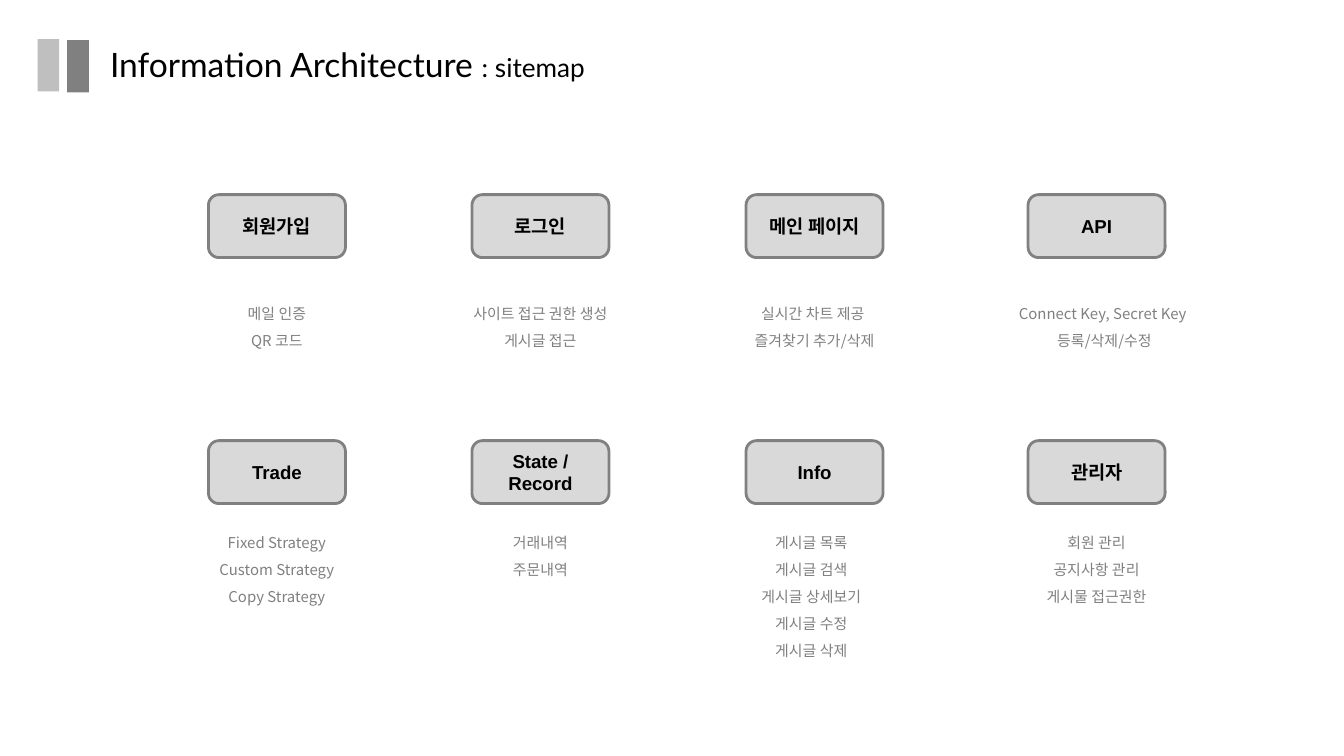
from dataclasses import dataclass

from lxml import etree
from pptx import Presentation
from pptx.dml.color import RGBColor
from pptx.enum import shapes, text
from pptx.oxml import ns
from pptx.util import Cm, Pt


@dataclass(frozen=True)
class Theme:
    black: RGBColor = RGBColor(0x00, 0x00, 0x00)
    grey: RGBColor = RGBColor(0x80, 0x80, 0x80)
    silver: RGBColor = RGBColor(0xBF, 0xBF, 0xBF)
    panel: RGBColor = RGBColor(0xD9, 0xD9, 0xD9)
    title_font: str = "Lato"
    page_font: str = "Arial"
    detail_font: str = "Noto Sans CJK KR"
    title_size: Pt = Pt(18)
    subtitle_size: Pt = Pt(14)
    page_size: Pt = Pt(10)
    detail_size: Pt = Pt(8)


theme = Theme()
presentation = Presentation()
presentation.slide_width, presentation.slide_height = Cm(25.4), Cm(14.29)
slide = presentation.slides.add_slide(presentation.slide_layouts[6])


def add_filled_shape(kind, left, top, width, height, color):
    shape = slide.shapes.add_shape(kind, Cm(left), Cm(top), Cm(width), Cm(height))
    shape.shadow.inherit = False
    shape.fill.solid()
    shape.fill.fore_color.rgb = color
    shape.line.fill.background()
    return shape


def style_paragraph(paragraph, font_name, size, color):
    """Set the font for Latin and Korean letters, with size and colour."""
    font = paragraph.font
    font.name, font.size = font_name, size
    font.color.rgb = color
    properties = paragraph._p.pPr.find(ns.qn("a:defRPr"))
    etree.SubElement(properties, ns.qn("a:ea"), typeface=font_name)


# Title with its two bars
for left, top, color in [(0.71, 0.74, theme.silver), (1.27, 0.76, theme.grey)]:
    add_filled_shape(shapes.MSO_SHAPE.RECTANGLE, left, top, 0.41, 0.99, color)

title = slide.shapes.add_textbox(Cm(1.83), Cm(0.71), Cm(12.7), Cm(1.02))
title.text_frame.word_wrap = True
paragraph = title.text_frame.paragraphs[0]
style_paragraph(paragraph, theme.title_font, theme.title_size, theme.black)
paragraph.add_run().text = "Information Architecture "
subtitle = paragraph.add_run()
subtitle.text = ": sitemap"
subtitle.font.size = theme.subtitle_size

# Sitemap: each page is name, detail width, detail shift from centre, details
page_width, page_height = 2.59, 1.19
column_lefts = [3.94, 8.92, 14.1, 19.43]
rows = [
    (3.68, 5.46, [
        ("회원가입", 3.4, 0, ["메일 인증", "QR 코드"]),
        ("로그인", 4.65, 0, ["사이트 접근 권한 생성", "게시글 접근"]),
        ("메인 페이지", 5.38, 0, ["실시간 차트 제공 ", "즐겨찾기 추가/삭제"]),
        ("API", 5.03, 0.15, ["Connect Key, Secret Key ", "등록/삭제/수정"]),
    ]),
    (8.33, 9.8, [
        ("Trade", 4.65, 0, ["Fixed Strategy", "Custom Strategy", "Copy Strategy"]),
        ("State /\vRecord", 4.65, 0, ["거래내역", "주문내역"]),
        ("Info", 4.65, -0.06, ["게시글 목록", "게시글 검색", "게시글 상세보기",
                               "게시글 수정", "게시글 삭제"]),
        ("관리자", 4.65, 0, ["회원 관리", "공지사항 관리", "게시물 접근권한"]),
    ]),
]

for page_top, detail_top, pages in rows:
    for left, (name, detail_width, shift, details) in zip(column_lefts, pages):
        page = add_filled_shape(shapes.MSO_SHAPE.ROUNDED_RECTANGLE, left, page_top,
                                page_width, page_height, theme.panel)
        page.line.color.rgb = theme.grey
        page.line.width = Pt(1.5)
        frame = page.text_frame
        frame.word_wrap = True
        frame.vertical_anchor = text.MSO_ANCHOR.MIDDLE
        frame.margin_top = frame.margin_bottom = Cm(0.25)
        paragraph = frame.paragraphs[0]
        paragraph.text = name
        paragraph.alignment = text.PP_ALIGN.CENTER
        style_paragraph(paragraph, theme.page_font, theme.page_size, theme.black)
        paragraph.font.bold = True

        detail_left = left + (page_width - detail_width) / 2 + shift
        box = slide.shapes.add_textbox(Cm(detail_left), Cm(detail_top), Cm(detail_width),
                                       Cm(0.2 + 0.51 * len(details)))
        frame = box.text_frame
        frame.word_wrap = True
        frame.text = "\n".join(details)
        for paragraph in frame.paragraphs:
            paragraph.alignment = text.PP_ALIGN.CENTER
            paragraph.line_spacing = 1.5
            style_paragraph(paragraph, theme.detail_font, theme.detail_size, theme.grey)

presentation.save("out.pptx")
